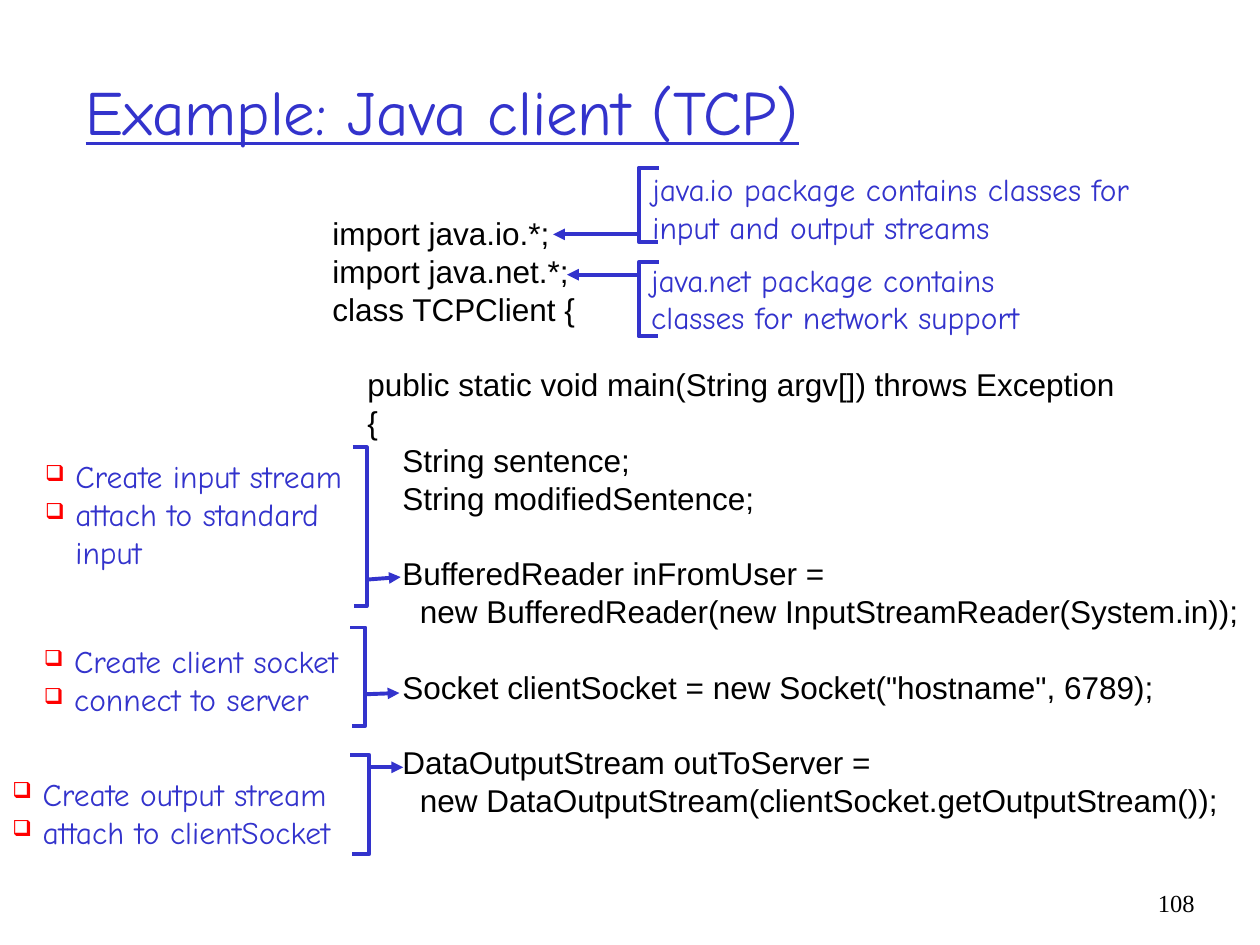
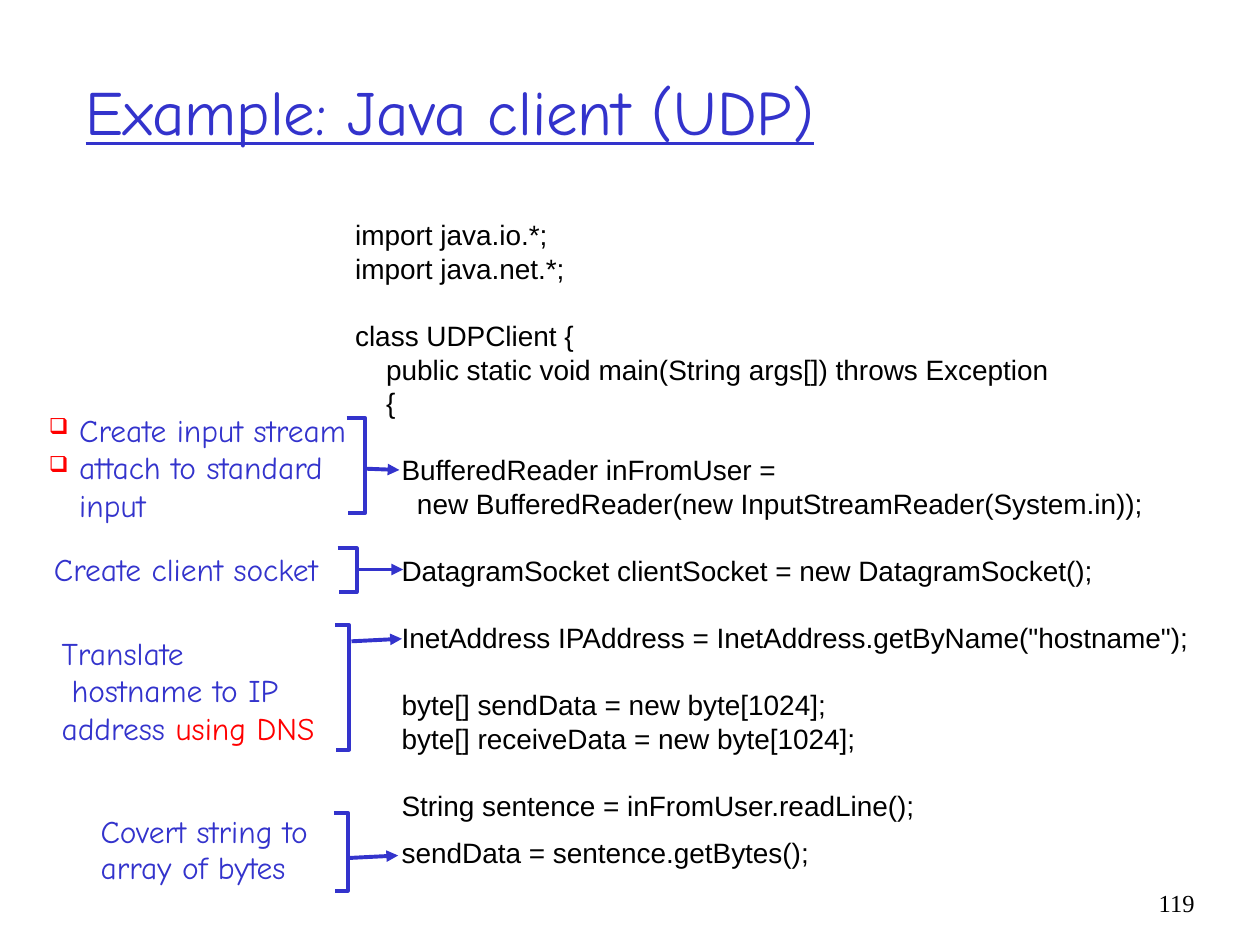
from lxml import etree
from pptx import Presentation
from pptx.dml.color import RGBColor
from pptx.enum.shapes import MSO_CONNECTOR
from pptx.enum.text import MSO_ANCHOR, MSO_AUTO_SIZE, PP_ALIGN
from pptx.oxml.ns import qn
from pptx.util import Inches, Pt

BLUE = RGBColor(0x33, 0x33, 0xCC)
RED = RGBColor(0xFF, 0x00, 0x00)
BLACK = RGBColor(0x00, 0x00, 0x00)

HAND, CODE, SERIF = "Comic Neue", "Arial", "Times New Roman"
LINE_PITCH = 1.2
TITLE_ONLY = 5
STRAIGHT = MSO_CONNECTOR.STRAIGHT
TOP, MIDDLE = MSO_ANCHOR.TOP, MSO_ANCHOR.MIDDLE
LEFT, RIGHT = PP_ALIGN.LEFT, PP_ALIGN.RIGHT
NO_AUTOFIT = MSO_AUTO_SIZE.NONE

TCP_CODE = """import java.io.*;
import java.net.*;
class TCPClient {

    public static void main(String argv[]) throws Exception
    {
        String sentence;
        String modifiedSentence;

        BufferedReader inFromUser =
          new BufferedReader(new InputStreamReader(System.in));

        Socket clientSocket = new Socket("hostname", 6789);

        DataOutputStream outToServer =
          new DataOutputStream(clientSocket.getOutputStream());"""

UDP_CODE = """import java.io.*;
import java.net.*;

class UDPClient {
    public static void main(String args[]) throws Exception
    {

      BufferedReader inFromUser =
        new BufferedReader(new InputStreamReader(System.in));

      DatagramSocket clientSocket = new DatagramSocket();

      InetAddress IPAddress = InetAddress.getByName("hostname");

      byte[] sendData = new byte[1024];
      byte[] receiveData = new byte[1024];

      String sentence = inFromUser.readLine();
      sendData = sentence.getBytes();"""


def add_run(p, text, size=18, font=HAND, color=BLUE, underline=None):
    r = p.add_run()
    r.text = text
    r.font.size = Pt(size)
    r.font.name = font
    r.font.color.rgb = color
    r.font.underline = underline
    return r


def indent(p, left, first=0.0):
    pPr = p._p.get_or_add_pPr()
    pPr.set("marL", str(Inches(left)))
    pPr.set("indent", str(Inches(first)))
    return pPr


def add_bullet(p):
    """Give the paragraph a small red box with a hanging indent."""
    pPr = indent(p, 0.24, -0.24)
    color = etree.SubElement(pPr, qn("a:buClr"))
    etree.SubElement(color, qn("a:srgbClr"), val=str(RED))
    etree.SubElement(pPr, qn("a:buSzPct"), val="70000")
    etree.SubElement(pPr, qn("a:buChar"), char="❑")


class Deck:
    def __init__(self):
        self.prs = Presentation()
        self.prs.slide_width = Inches(10)
        self.prs.slide_height = Inches(7.5)
        self.slide = None

    def new_slide(self, title, number):
        self.slide = self.prs.slides.add_slide(self.prs.slide_layouts[TITLE_ONLY])
        sp = self.slide.shapes.title
        sp.left, sp.top, sp.width, sp.height = map(Inches, (0.58, 0.25, 8.5, 1.25))
        tf = sp.text_frame
        tf.auto_size = NO_AUTOFIT
        tf.vertical_anchor = MIDDLE
        p = tf.paragraphs[0]
        p.alignment = LEFT
        add_run(p, title, size=36, underline=True)
        self.text((9.08, 7, 0.5, 0.5), [str(number)], pitch=1, align=RIGHT,
                  size=14, font=SERIF, color=BLACK)

    def text(self, box, lines, bullets=False, pitch=LINE_PITCH, align=LEFT,
             size=18, **style):
        """Write one paragraph per line; an empty line becomes space before the next."""
        tf = self.slide.shapes.add_textbox(*map(Inches, box)).text_frame
        tf.word_wrap = True
        tf.vertical_anchor = TOP
        gap = 0
        p = None
        for line in lines:
            if not line:
                gap += size * pitch
                continue
            p = tf.add_paragraph() if p else tf.paragraphs[0]
            if bullets:
                add_bullet(p)
            p.alignment = align
            p.line_spacing = Pt(size * pitch) if pitch != 1 else 1.0
            if gap:
                p.space_before = Pt(gap)
            gap = 0
            add_run(p, line, size=size, **style)
        return tf

    def code(self, box, source, size):
        return self.text(box, source.split("\n"), size=size, font=CODE, color=BLACK)

    def bracket(self, tip, spine, top, bottom):
        """Draw an open bracket whose lower arm is slightly shorter."""
        low_tip = tip + (0.01 if tip < spine else -0.01)
        points = [(Inches(x), Inches(y)) for x, y in
                  ((tip, top), (spine, top), (spine, bottom), (low_tip, bottom))]
        builder = self.slide.shapes.build_freeform(*points[0])
        builder.add_line_segments(points[1:], close=False)
        sp = builder.convert_to_shape()
        sp.shadow.inherit = False
        sp.fill.background()
        self.stroke(sp.line)

    def arrow(self, x1, y1, x2, y2):
        cxn = self.slide.shapes.add_connector(
            STRAIGHT, *map(Inches, (x1, y1, x2, y2)))
        self.stroke(cxn.line)
        ln = cxn.line._get_or_add_ln()
        etree.SubElement(ln, qn("a:tailEnd"), type="triangle")
        etree.SubElement(cxn._element.spPr, qn("a:effectLst"))

    def stroke(self, line):
        line.color.rgb = BLUE
        line.width = Pt(2.25)

    def callouts(self, pairs):
        for bracket, arrow in pairs:
            self.bracket(*bracket)
            self.arrow(*arrow)


def tcp_slide(deck):
    deck.new_slide("Example: Java client (TCP)", 108)
    deck.code((2.54, 1.65, 7.46, 5.47), TCP_CODE, size=18)
    for box, steps in (
        ((0.26, 3.58, 2.73, 1), ["Create input stream", "attach to standard input"]),
        ((0.25, 5.05, 2.86, 0.7), ["Create client socket", "connect to server"]),
        ((0, 6.1, 3.13, 0.7), ["Create output stream", "attach to clientSocket"]),
    ):
        deck.text(box, steps, bullets=True)
    for box, note in (
        ((5.08, 1.3, 4.36, 0.7),
         "java.io package contains classes for input and output streams"),
        ((5.07, 2.02, 3.66, 0.7),
         "java.net package contains classes for network support"),
    ):
        deck.text(box, [note])
    deck.callouts([
        ((2.8, 2.91, 3.55, 4.81), (2.91, 4.6, 3.18, 4.58)),
        ((2.78, 2.9, 4.98, 5.76), (2.9, 5.51, 3.17, 5.5)),
        ((2.78, 2.93, 5.99, 6.78), (2.93, 6.09, 3.2, 6.09)),
        ((5.23, 5.07, 1.33, 1.92), (5.06, 1.86, 4.39, 1.86)),
        ((5.23, 5.07, 2.08, 2.67), (5.07, 2.18, 4.5, 2.18)),
    ])


def udp_slide(deck):
    deck.new_slide("Example: Java client (UDP)", 119)
    tf = deck.code((2.72, 1.68, 6.89, 5.3), UDP_CODE, size=16)
    tf.paragraphs[-1].space_before = Pt(7.7)
    deck.text((0.29, 3.21, 2.79, 1),
              ["Create input stream", "attach to standard input"], bullets=True)
    deck.text((0.33, 4.32, 2.59, 0.4), ["Create client socket"])
    tf = deck.text((0.39, 4.98, 2.21, 1), ["Translate", "hostname to IP", "address "])
    indent(tf.paragraphs[1], 0.08)
    add_run(tf.paragraphs[2], "using DNS", color=RED)
    tf = deck.text((0.7, 6.47, 1.94, 0.62), ["Covert string to", "array of bytes"],
                   pitch=0.9)
    tf.paragraphs[1].space_before = Pt(4.5)
    deck.callouts([
        ((2.75, 2.9, 3.32, 4.07), (2.9, 3.72, 3.17, 3.73)),
        ((2.68, 2.83, 4.35, 4.7), (2.84, 4.52, 3.2, 4.52)),
        ((2.66, 2.77, 4.96, 5.95), (2.79, 5.09, 3.19, 5.07)),
        ((2.65, 2.76, 6.45, 7.07), (2.76, 6.81, 3.16, 6.79)),
    ])


def main():
    deck = Deck()
    tcp_slide(deck)
    udp_slide(deck)
    deck.prs.save("out.pptx")


if __name__ == "__main__":
    main()
